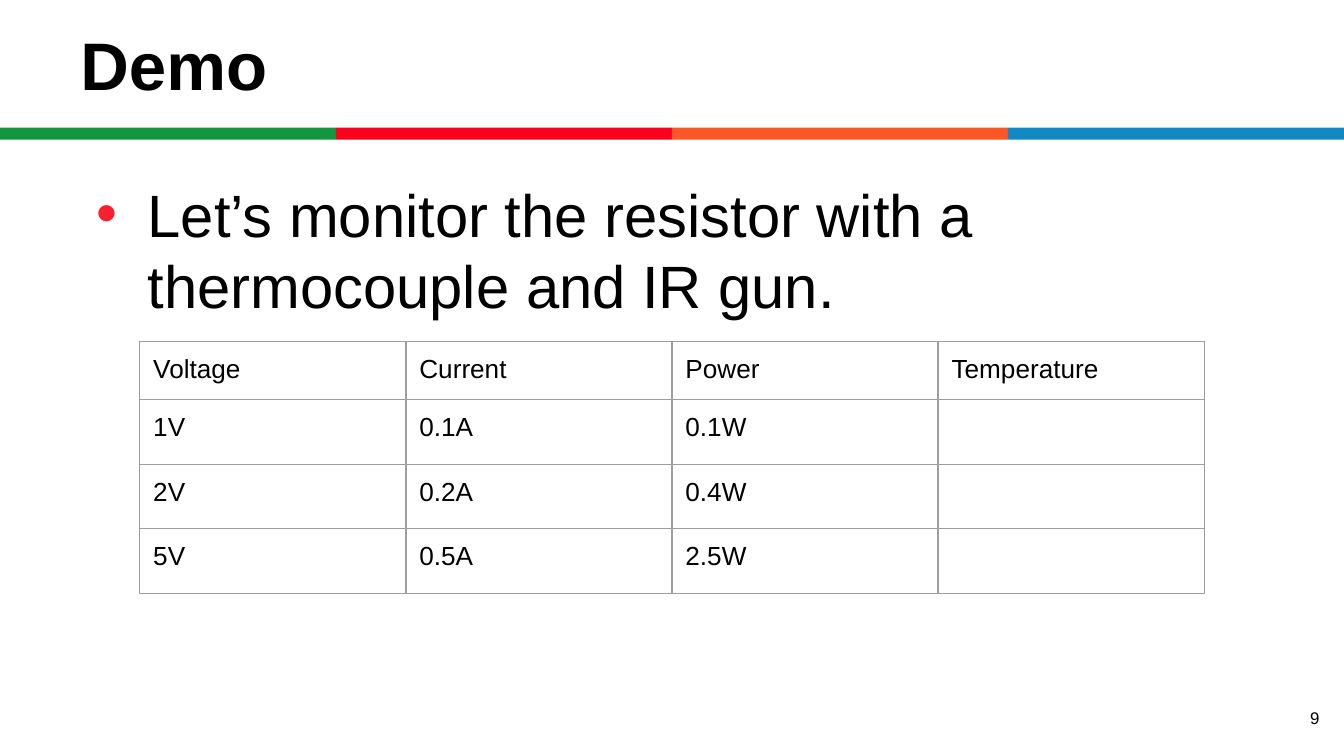
from lxml.etree import SubElement
from pptx import Presentation
from pptx.dml.color import RGBColor
from pptx.enum.shapes import MSO_SHAPE
from pptx.enum.text import MSO_ANCHOR, PP_ALIGN
from pptx.oxml.ns import qn
from pptx.util import Inches, Pt

GREEN = RGBColor(0x13, 0x97, 0x3E)
RED = RGBColor(0xFC, 0x00, 0x1D)
ORANGE = RGBColor(0xFC, 0x55, 0x26)
BLUE = RGBColor(0x11, 0x8A, 0xC3)
BULLET = RGBColor(0xFA, 0x1E, 0x31)
GRAY = RGBColor(0x9E, 0x9E, 0x9E)
BLACK = RGBColor(0, 0, 0)

prs = Presentation()
prs.slide_width = Inches(10)
prs.slide_height = prs.slide_width * 9 // 16
s = prs.slides.add_slide(prs.slide_layouts[6])


def add_run(p, text, size, bold=False):
    r = p.add_run()
    r.text = text
    r.font.name, r.font.size, r.font.bold = "Arial", Pt(size), bold
    r.font.color.rgb = BLACK


def add_text(x, y, w, h, text, size, bold=False):
    tf = s.shapes.add_textbox(Inches(x), Inches(y), Inches(w), Inches(h)).text_frame
    tf.word_wrap = True
    add_run(tf.paragraphs[0], text, size, bold)
    return tf


stripes = [GREEN, RED, ORANGE, BLUE]
stripe_w = prs.slide_width // len(stripes)
for i, color in enumerate(stripes):
    sp = s.shapes.add_shape(MSO_SHAPE.RECTANGLE, i * stripe_w, Inches(0.95), stripe_w, Inches(0.09))
    sp.shadow.inherit = False
    sp.fill.solid()
    sp.fill.fore_color.rgb = color
    sp.line.fill.background()

title = add_text(0.5, 0, 6.99, 0.95, "Demo", 36, True)
title.vertical_anchor = MSO_ANCHOR.MIDDLE

number = add_text(9.43, 5.22, 0.67, 0.19, " 9", 9)
number.paragraphs[0].alignment = PP_ALIGN.CENTER

body = add_text(0.5, 1.27, 9.28, 4.21, "Let’s monitor the resistor with a thermocouple and IR gun. ", 32)
p = body.paragraphs[0]
p.space_before = Pt(3.6)
pPr = p._p.get_or_add_pPr()
pPr.set("marL", str(Inches(0.5)))
pPr.set("indent", str(Inches(-0.38)))
SubElement(SubElement(pPr, qn("a:buClr")), qn("a:srgbClr"), val=str(BULLET))
SubElement(pPr, qn("a:buFont"), typeface="Arial")
SubElement(pPr, qn("a:buChar"), char="•")

rows = [
    ["Voltage", "Current", "Power", "Temperature"],
    ["1V", "0.1A", "0.1W", ""],
    ["2V", "0.2A", "0.4W", ""],
    ["5V", "0.5A", "2.5W", ""],
]
heights = [0.42, 0.48, 0.48, 0.48]
col_w = 1.98
table = s.shapes.add_table(
    len(rows), len(rows[0]), Inches(1.04), Inches(2.54),
    Inches(col_w * len(rows[0])), Inches(sum(heights))).table
table.first_row = table.horz_banding = False
for col in table.columns:
    col.width = Inches(col_w)
for row, height, texts in zip(table.rows, heights, rows):
    row.height = Inches(height)
    for cell, text in zip(row.cells, texts):
        cell.margin_left = cell.margin_right = Inches(0.1)
        cell.margin_top = cell.margin_bottom = Inches(0.1)
        p = cell.text_frame.paragraphs[0]
        if text:
            add_run(p, text, 14)
        else:
            end = SubElement(p._p, qn("a:endParaRPr"), sz="1400")
            SubElement(end, qn("a:latin"), typeface="Arial")
        tcPr = cell._tc.get_or_add_tcPr()
        for side in ("lnL", "lnR", "lnT", "lnB"):
            ln = SubElement(tcPr, qn(f"a:{side}"), w=str(Pt(0.75)))
            SubElement(SubElement(ln, qn("a:solidFill")), qn("a:srgbClr"), val=str(GRAY))
        cell.fill.background()

prs.save("out.pptx")
